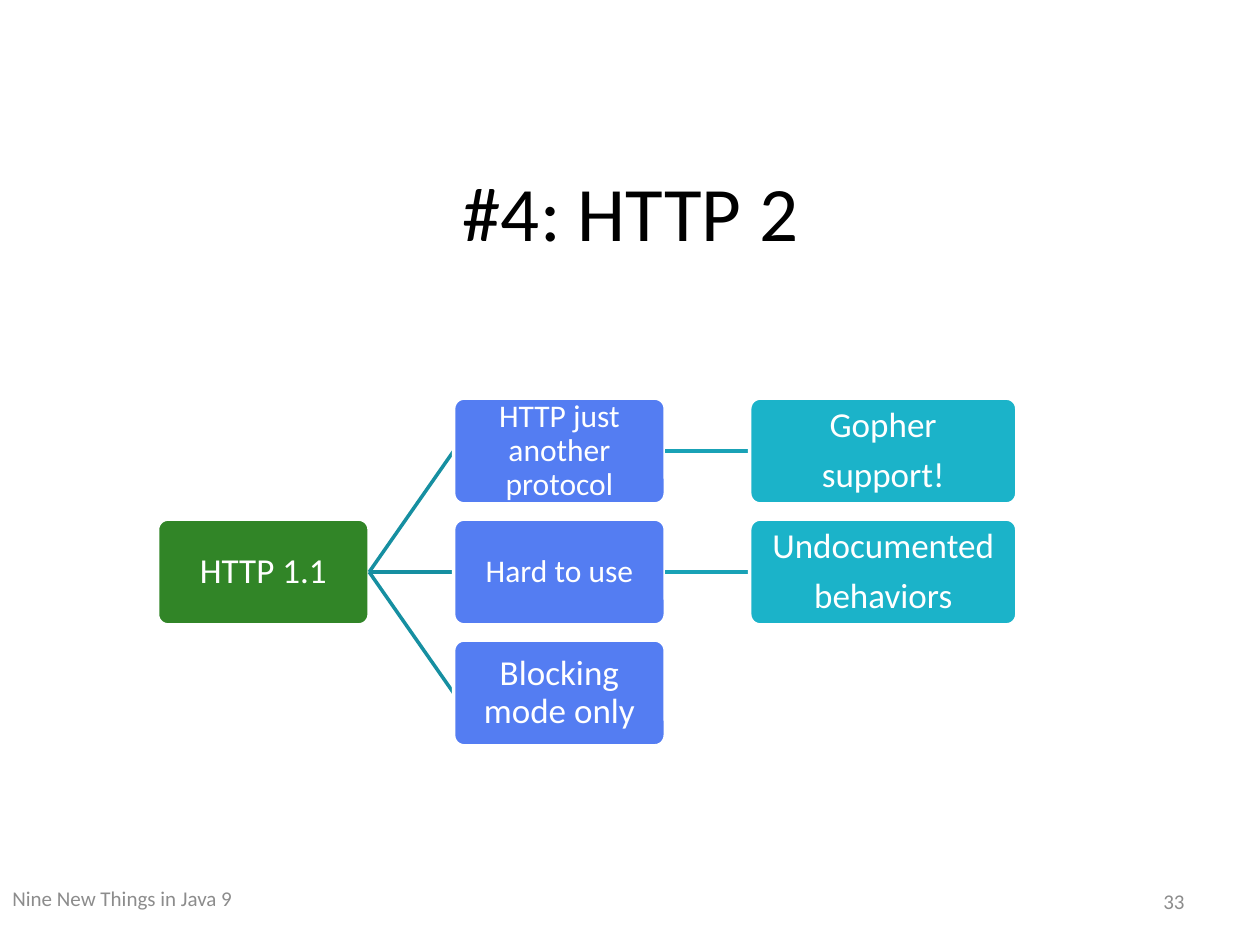
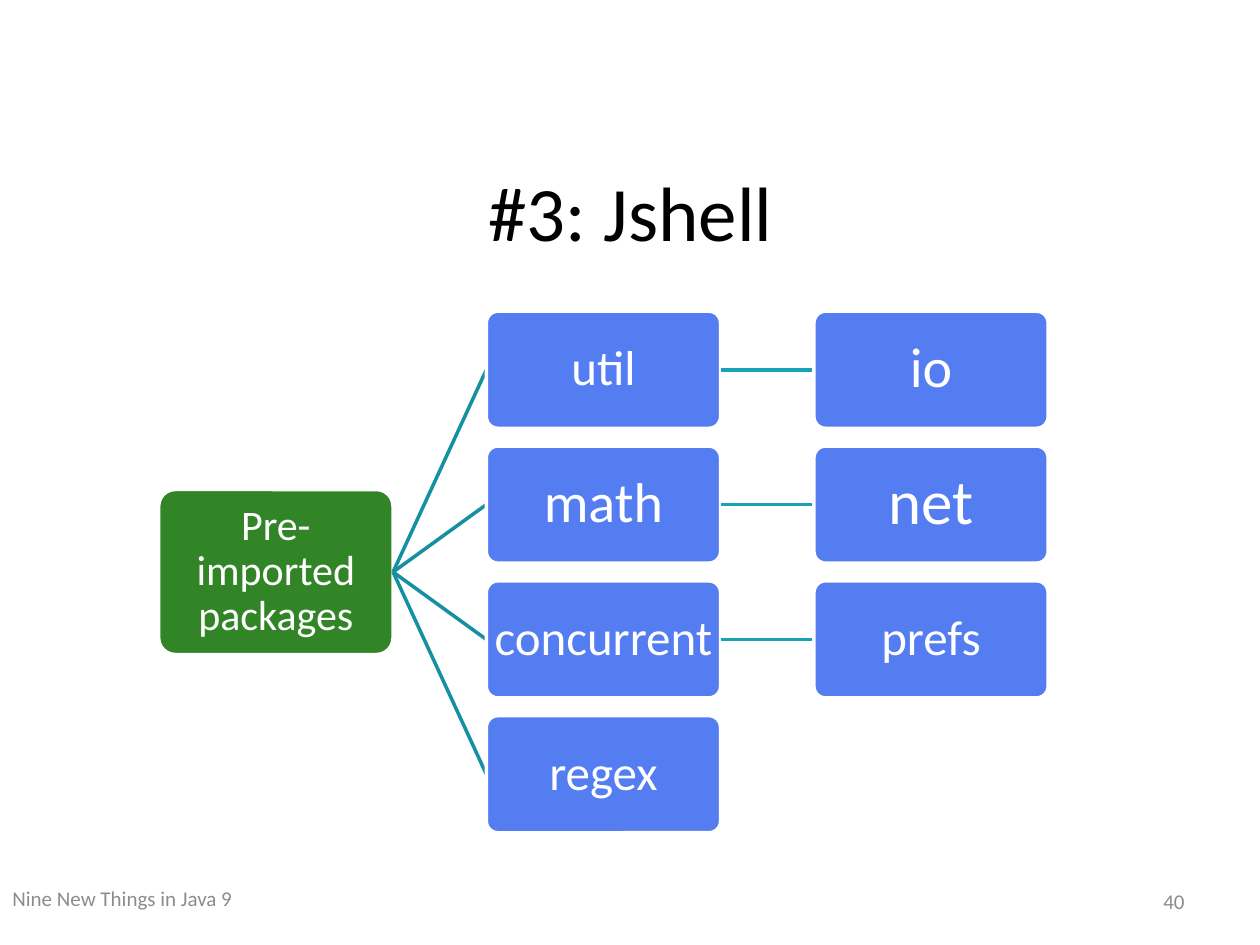
from lxml import etree
from pptx import Presentation
from pptx.dml.color import RGBColor
from pptx.enum import shapes, text
from pptx.oxml.ns import qn
from pptx.util import Inches, Pt

# Shared style
FONT = "Calibri"
BLACK = RGBColor(0x00, 0x00, 0x00)
WHITE = RGBColor(0xFF, 0xFF, 0xFF)
GREY = RGBColor(0x8C, 0x8C, 0x8C)
GREEN = RGBColor(0x31, 0x85, 0x27)
BLUE = RGBColor(0x54, 0x7D, 0xF2)
CYAN = RGBColor(0x1B, 0xB3, 0xC9)
BRANCH_LINE = RGBColor(0x16, 0x8F, 0xA1)
DETAIL_LINE = RGBColor(0x19, 0xA2, 0xB6)
FOOTER = "Nine New Things in Java 9"
MIDDLE = 4.54  # height on which every tree is centred

# Content: each node is (text, size); each branch is (node, detail node or None)
TREES = [
    {
        "title": "#4: HTTP 2",
        "number": "33",
        "root": ("HTTP 1.1", 20),
        "branches": [
            (("HTTP just another protocol", 18), ("Gopher\nsupport!", 20)),
            (("Hard to use", 18), ("Undocumented\nbehaviors", 20)),
            (("Blocking mode only", 20), None),
        ],
        "left": 1.25, "width": 1.68, "detail_width": 2.12, "column_gap": 0.67,
        "root_height": 0.84, "height": 0.84, "row_gap": 0.12,
        "detail_fill": CYAN,
    },
    {
        "title": "#3: Jshell",
        "number": "40",
        "root": ("Pre-imported packages", 24),
        "branches": [
            (("util", 28), ("io", 32)),
            (("math", 32), ("net", 36)),
            (("concurrent", 28), ("prefs", 28)),
            (("regex", 28), None),
        ],
        "left": 1.26, "width": 1.86, "detail_width": 1.86, "column_gap": 0.74,
        "root_height": 1.31, "height": 0.93, "row_gap": 0.14,
        "detail_fill": BLUE,
    },
]


def style_text(frame, size, color, align):
    for para in frame.paragraphs:
        para.alignment = align
        for span in para.runs:
            span.font.name = FONT
            span.font.size = Pt(size)
            span.font.color.rgb = color


def add_title(page, title):
    box = page.shapes.title
    box.left, box.top = Inches(0.92), Inches(1.25)
    box.width, box.height = Inches(8.17), Inches(0.84)
    frame = box.text_frame
    frame.text = title
    frame.auto_size = text.MSO_AUTO_SIZE.NONE
    frame.vertical_anchor = text.MSO_ANCHOR.MIDDLE
    style_text(frame, 44, BLACK, text.PP_ALIGN.CENTER)


def add_footer(page, words, left, top, width, align):
    box = page.shapes.add_textbox(Inches(left), Inches(top), Inches(width), Inches(0.4))
    frame = box.text_frame
    frame.word_wrap = True
    frame.vertical_anchor = text.MSO_ANCHOR.MIDDLE
    frame.text = words
    style_text(frame, 12, GREY, align)


def add_node(page, node, left, middle, width, height, fill):
    words, size = node
    box = page.shapes.add_shape(
        shapes.MSO_SHAPE.ROUNDED_RECTANGLE,
        Inches(left), Inches(middle - height / 2), Inches(width), Inches(height))
    box.adjustments[0] = 0.1
    box.shadow.inherit = False
    box.fill.solid()
    box.fill.fore_color.rgb = fill
    box.line.color.rgb = WHITE
    box.line.width = Pt(2)
    frame = box.text_frame
    frame.word_wrap = True
    frame.vertical_anchor = text.MSO_ANCHOR.MIDDLE
    # The rounded corners already inset the text
    frame.margin_left = frame.margin_right = Inches(0.01)
    frame.margin_top = frame.margin_bottom = Inches(0.01)
    frame.text = words
    style_text(frame, size, WHITE, text.PP_ALIGN.CENTER)
    for para in frame.paragraphs:
        para.line_spacing = 0.9
    for para in frame.paragraphs[:-1]:
        para.space_after = Pt(size * 0.35)
    return box


def add_child(page, parent, color, *node_args):
    """Add a node and its link; the link lies under the node's white outline."""
    link = page.shapes.add_connector(shapes.MSO_CONNECTOR.STRAIGHT, 0, 0, 0, 0)
    link.line.color.rgb = color
    link.line.width = Pt(2)
    properties = link._element.find(qn("p:spPr"))
    etree.SubElement(properties, qn("a:effectLst"))
    child = add_node(page, *node_args)
    link.begin_connect(parent, 3)
    link.end_connect(child, 1)
    return child


def add_tree(page, tree):
    width, height = tree["width"], tree["height"]
    column_step = width + tree["column_gap"]
    row_step = height + tree["row_gap"]
    root_left = tree["left"]
    branch_left = root_left + column_step
    detail_left = branch_left + column_step
    first_row = MIDDLE - row_step * (len(tree["branches"]) - 1) / 2

    root = add_node(page, tree["root"], root_left, MIDDLE, width,
                    tree["root_height"], GREEN)
    for row, (branch, detail) in enumerate(tree["branches"]):
        middle = first_row + row * row_step
        box = add_child(page, root, BRANCH_LINE, branch, branch_left, middle,
                        width, height, BLUE)
        if detail:
            add_child(page, box, DETAIL_LINE, detail, detail_left, middle,
                      tree["detail_width"], height, tree["detail_fill"])


def main():
    deck = Presentation()
    deck.slide_width, deck.slide_height = Inches(10), Inches(7.5)
    title_only = deck.slide_layouts[5]
    for tree in TREES:
        page = deck.slides.add_slide(title_only)
        add_tree(page, tree)
        add_title(page, tree["title"])
        add_footer(page, FOOTER, 0, 6.93, 7, text.PP_ALIGN.LEFT)
        add_footer(page, tree["number"], 7.17, 6.95, 2.33, text.PP_ALIGN.RIGHT)
    deck.save("out.pptx")


if __name__ == "__main__":
    main()
